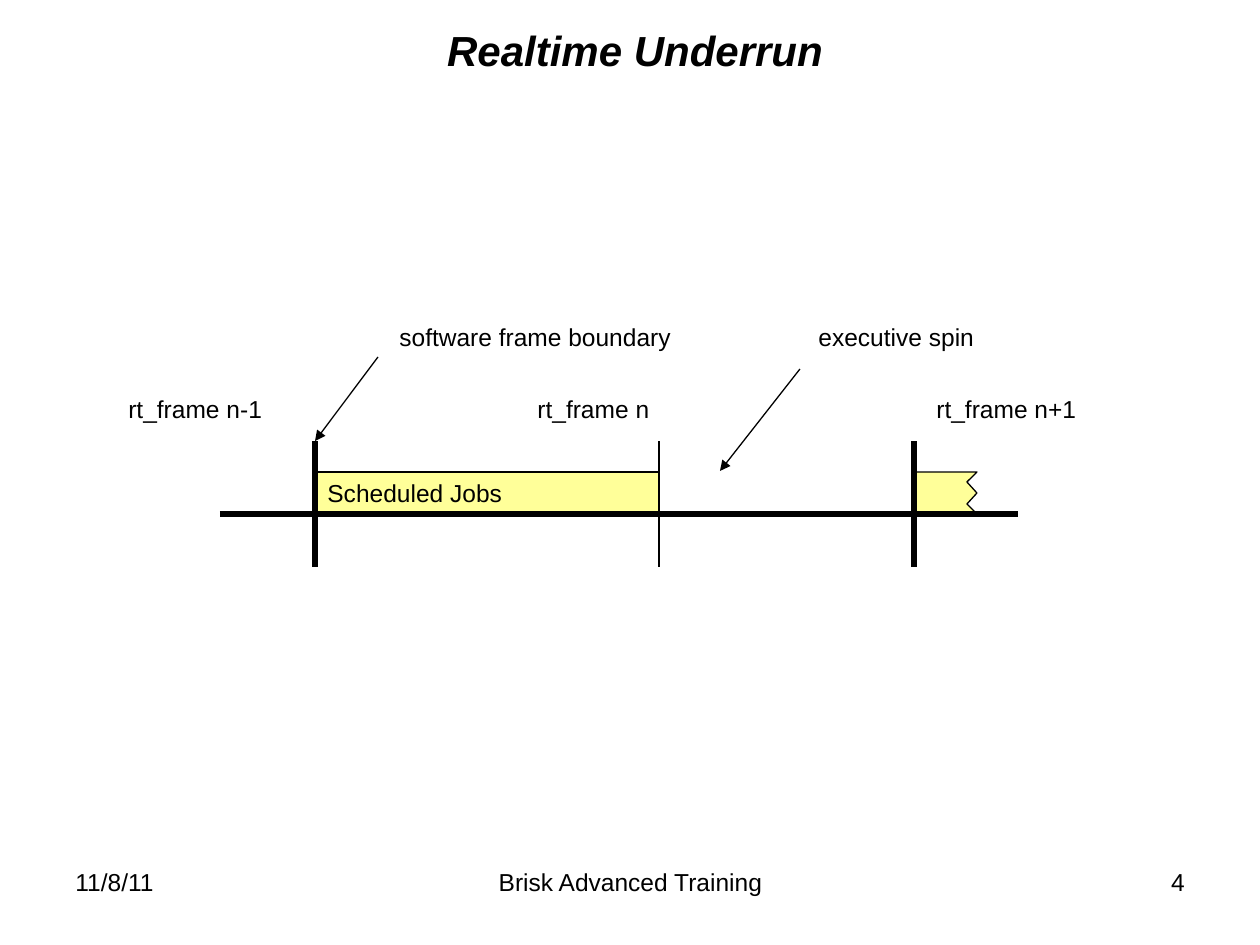
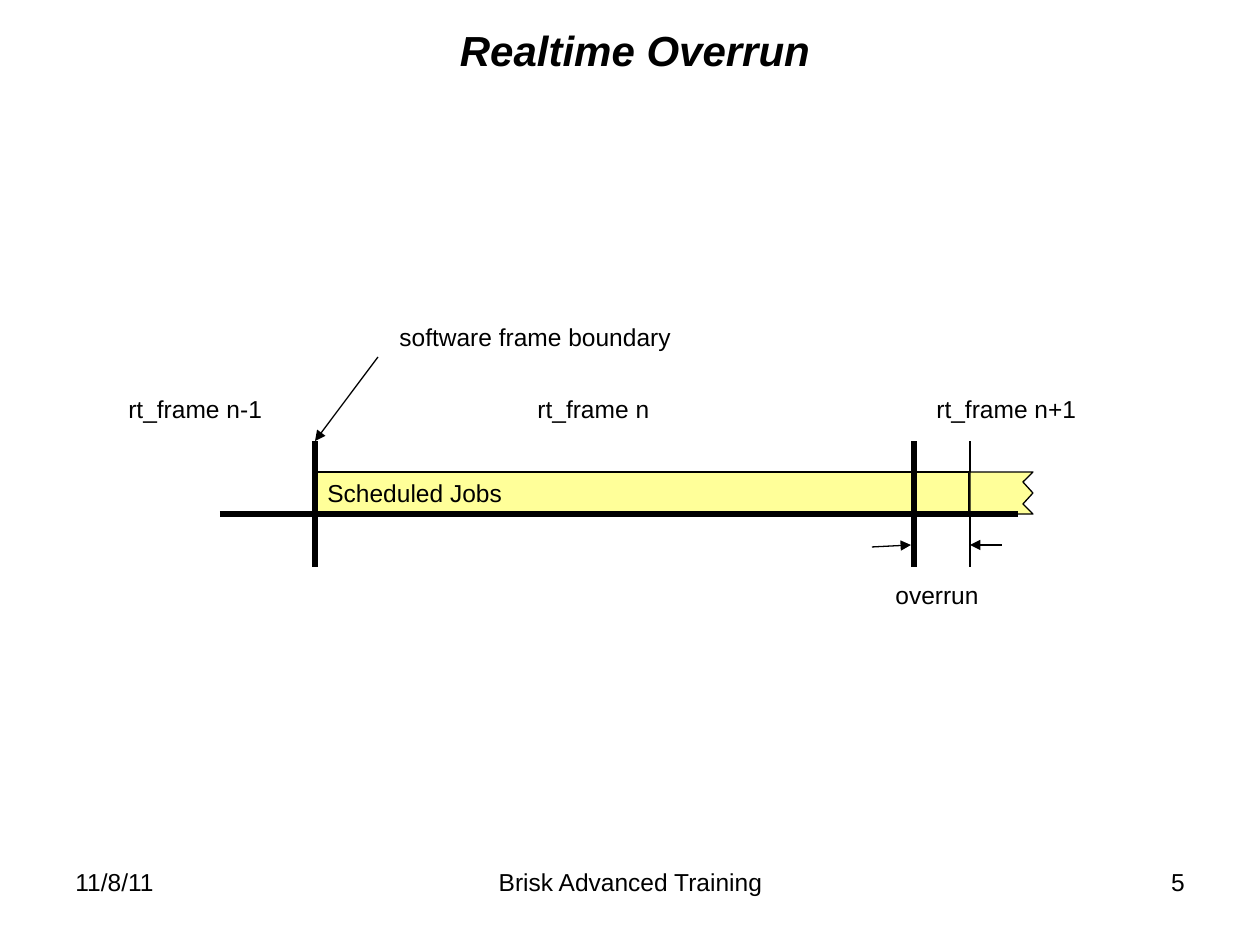
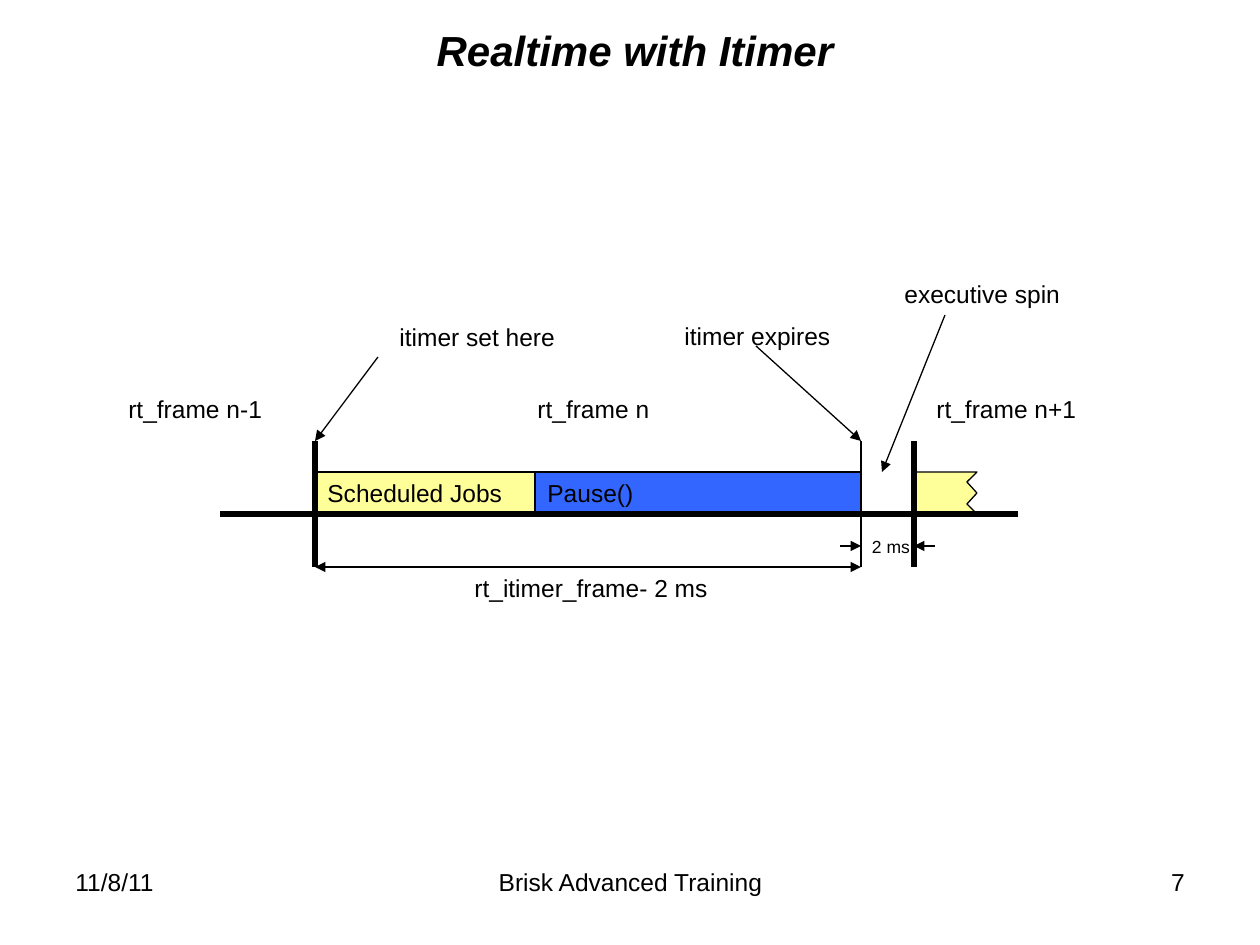
from pptx import Presentation
from pptx.dml.color import RGBColor
from pptx.enum.shapes import MSO_CONNECTOR, MSO_SHAPE
from pptx.enum.text import MSO_ANCHOR as Anchor, PP_ALIGN as Align
from pptx.oxml.ns import qn
from pptx.util import Pt
from lxml.etree import SubElement

EMU_PER_PX = 914400 / 126
FONT = "Arial"
COLORS = {"ink": "000000", "jobs": "FFFF99", "pause": "3366FF"}
THIN, THICK = 0.75, 3

DATE, COURSE = "11/8/11", "Brisk Advanced Training"

# Timeline geometry
FRAME_START, FRAME_END = 315, 914
AXIS_LEFT, AXIS_RIGHT, AXIS_Y = 220, 1018, 514
TICK_TOP, TICK_BOTTOM = 441, 567
BAR_TOP, BAR_HEIGHT = 472, 43
TORN_WIDTH, TORN_NOTCH = 63, 10
LABEL_HEIGHT, FRAME_LABEL_TOP = 42, 388

# text, left, width
FRAME_LABELS = [("rt_frame n", 525, 147), ("rt_frame n+1", 924, 189), ("rt_frame n-1", 116, 189)]
START_ARROW = (378, 357, FRAME_START, TICK_TOP)

# bars: text, left, right, colour; callouts: text, left, top, width
# arrows: x and y of the start, x and y of the tip
SLIDES = [
    {
        "title": "Realtime Underrun", "number": 4,
        "bars": [("Scheduled Jobs", FRAME_START, 659, "jobs")],
        "jobs_end": 659, "next_jobs": FRAME_END,
        "callouts": [("software frame boundary", 387, 316, 301),
                     ("executive spin", 806, 316, 185)],
        "arrows": [(800, 369, 720, 471)],
    },
    {
        "title": "Realtime Overrun", "number": 5,
        "bars": [("Scheduled Jobs", FRAME_START, 969, "jobs")],
        "jobs_end": 970, "next_jobs": 970,
        "callouts": [("software frame boundary", 387, 316, 301),
                     ("overrun", 883, 574, 110)],
        "arrows": [(1002, 545, 970, 545), (872, 547, 911, 545)],
    },
    {
        "title": "Realtime with Itimer", "number": 7,
        "bars": [("Scheduled Jobs", FRAME_START, 535, "jobs"), ("Pause()", 535, 861, "pause")],
        "jobs_end": 861, "next_jobs": FRAME_END,
        "callouts": [("itimer set here", 387, 316, 181),
                     ("itimer expires", 672, 315, 173),
                     ("executive spin", 892, 273, 183)],
        "arrows": [(840, 546, 861, 546), (935, 546, FRAME_END, 546),
                   (756, 346, 861, TICK_TOP), (945, 315, 882, 472)],
        "span": ("rt_itimer_frame- 2 ms", 462, 284),
        "gap": ("2 ms", 872, 536, 42, 21),
    },
]


def px(*lengths):
    return [round(length * EMU_PER_PX) for length in lengths]


def color(name):
    return RGBColor.from_string(COLORS[name])


def write(shape, text, size=14, align=Align.LEFT, anchor=Anchor.TOP, wrap=True, bold=False, inset=True):
    frame = shape.text_frame
    frame.word_wrap = wrap
    frame.vertical_anchor = anchor
    if not inset:
        frame.margin_left = frame.margin_right = frame.margin_top = frame.margin_bottom = 0
    paragraph = frame.paragraphs[0]
    paragraph.text = text
    paragraph.alignment = align
    font = paragraph.font
    font.name, font.size = FONT, Pt(size)
    font.bold = font.italic = bold
    font.color.rgb = color("ink")


def add_text(slide, text, left, top, width, height=LABEL_HEIGHT, **style):
    write(slide.shapes.add_textbox(*px(left, top, width, height)), text, **style)


def paint(shape, fill):
    shape.shadow.inherit = False
    shape.fill.solid()
    shape.fill.fore_color.rgb = color(fill)
    shape.line.color.rgb = color("ink")
    shape.line.width = Pt(THIN)


def add_line(slide, x1, y1, x2, y2, width=THIN, arrowheads=()):
    """Draw a line; arrowheads may hold headEnd (start) and tailEnd (tip), in that order."""
    line = slide.shapes.add_connector(MSO_CONNECTOR.STRAIGHT, *px(x1, y1, x2, y2))
    line.line.color.rgb = color("ink")
    line.line.width = Pt(width)
    properties = line._element.spPr
    for end in arrowheads:
        SubElement(properties.find(qn("a:ln")), qn(f"a:{end}"), type="triangle")
    SubElement(properties, qn("a:effectLst"))


def add_tick(slide, x, width):
    add_line(slide, x, TICK_TOP, x, TICK_BOTTOM, width)


def add_bar(slide, text, left, right, fill):
    bar = slide.shapes.add_shape(MSO_SHAPE.RECTANGLE, *px(left, BAR_TOP, right - left, BAR_HEIGHT))
    paint(bar, fill)
    write(bar, text)


def add_torn_bar(slide, left):
    """Draw a bar with a zigzag right edge, for jobs that go on."""
    right = left + TORN_WIDTH
    step = (AXIS_Y - BAR_TOP) / 4
    edge = [(right - TORN_NOTCH * (i % 2), BAR_TOP + i * step) for i in range(5)]
    builder = slide.shapes.build_freeform(left, BAR_TOP, scale=EMU_PER_PX)
    builder.add_line_segments(edge + [(left, AXIS_Y)], close=True)
    paint(builder.convert_to_shape(), "jobs")


def add_title_and_footer(slide, title, number):
    add_text(slide, DATE, 63, 861, 294, 65)
    add_text(slide, COURSE, 431, 861, 399, 65, align=Align.CENTER)
    add_text(slide, str(number), 903, 861, 294, 65, align=Align.RIGHT)
    add_text(slide, title, 126, 21, 1018, 57, size=24, align=Align.CENTER, anchor=Anchor.MIDDLE, bold=True)


def add_timeline(slide, content):
    for bar in content["bars"]:
        add_bar(slide, *bar)
    for text, left, width in FRAME_LABELS:
        add_text(slide, text, left, FRAME_LABEL_TOP, width)
    add_tick(slide, FRAME_START, THICK)
    add_tick(slide, content["jobs_end"], THIN)
    if "span" in content:
        text, left, width = content["span"]
        add_line(slide, FRAME_START, TICK_BOTTOM, content["jobs_end"], TICK_BOTTOM,
                 arrowheads=("headEnd", "tailEnd"))
        add_text(slide, text, left, TICK_BOTTOM, width)
    if "gap" in content:
        add_text(slide, *content["gap"], size=10, inset=False)
    for callout in content["callouts"]:
        add_text(slide, *callout, wrap=False)
    for arrow in [START_ARROW] + content["arrows"]:
        add_line(slide, *arrow, arrowheads=("tailEnd",))
    add_torn_bar(slide, content["next_jobs"])
    add_tick(slide, FRAME_END, THICK)
    add_line(slide, AXIS_LEFT, AXIS_Y, AXIS_RIGHT, AXIS_Y, THICK)


def main():
    presentation = Presentation()
    presentation.slide_width, presentation.slide_height = px(1260, 945)
    for content in SLIDES:
        slide = presentation.slides.add_slide(presentation.slide_layouts[6])
        add_title_and_footer(slide, content["title"], content["number"])
        add_timeline(slide, content)
    presentation.save("out.pptx")


if __name__ == "__main__":
    main()
